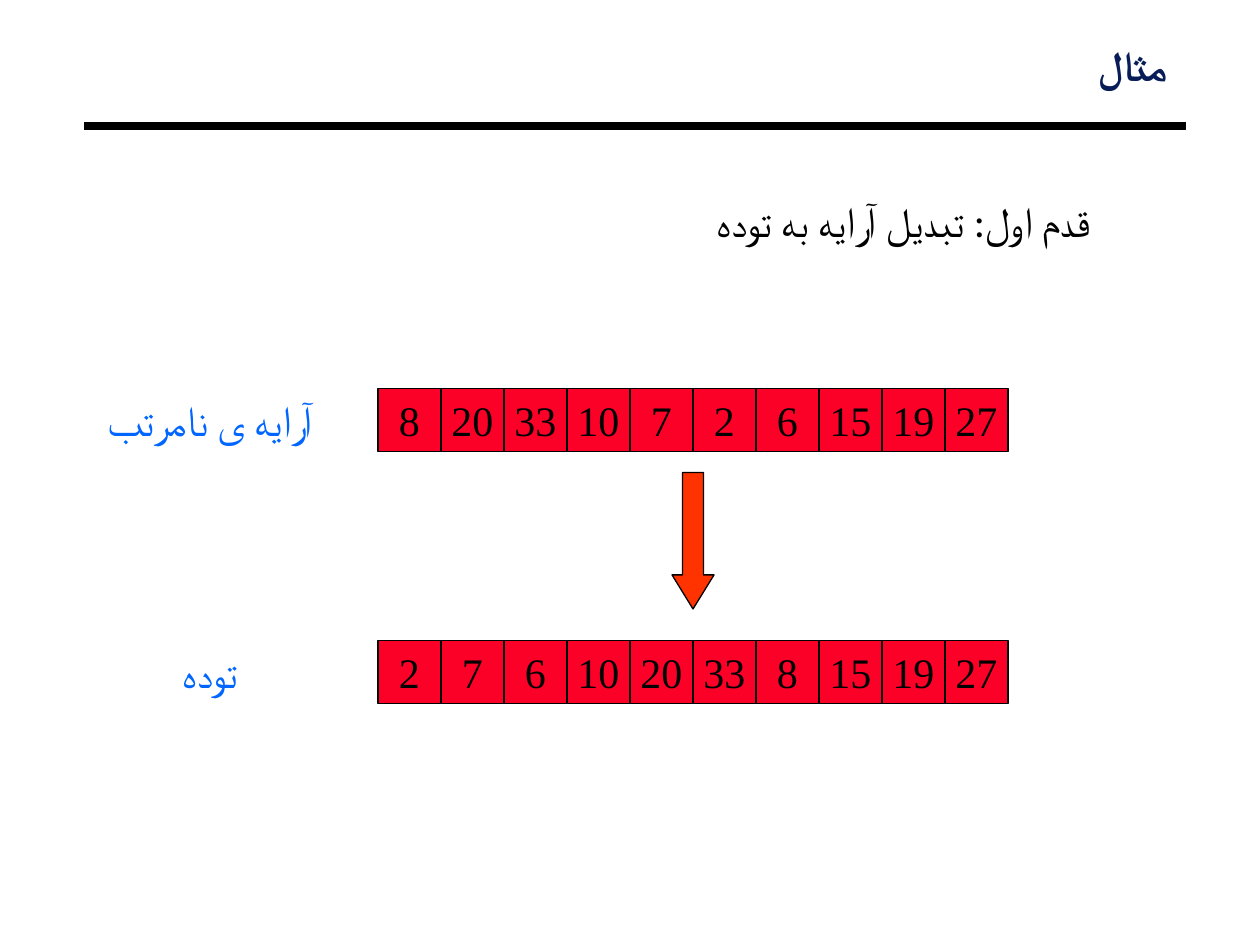
from dataclasses import dataclass

from lxml import etree
from pptx import Presentation
from pptx.dml.color import RGBColor
from pptx.enum import shapes, text
from pptx.oxml.ns import qn
from pptx.util import Pt


@dataclass(frozen=True)
class Theme:
    navy: str = "081D58"
    black: str = "000000"
    blue: str = "0066FF"
    cell: str = "FC0128"
    arrow: str = "FF3300"
    title_font: str = "Roboto"
    body_font: str = "Calibri"
    number_font: str = "Times New Roman"
    size: float = 24
    outline: float = 0.75
    rule: float = 4.5


T = Theme()
ALIGN, SHAPE = text.PP_ALIGN, shapes.MSO_SHAPE


def write(tf, words, font, color, align, rtl=False, bold=False, spacing=None):
    """Put one paragraph in a text frame, naming the font for Arabic script too."""
    p = tf.paragraphs[0]
    p.alignment = align
    if rtl:
        p._p.get_or_add_pPr().set("rtl", "1")
    if spacing:
        p.line_spacing = spacing
    r = p.add_run()
    r.text = words
    for name, value in dict(name=font, size=Pt(T.size), bold=bold).items():
        setattr(r.font, name, value)
    r.font.color.rgb = RGBColor.from_string(color)
    etree.SubElement(r._r.get_or_add_rPr(), qn("a:cs"), typeface=font)


def add_text(s, box, words, font, color, align, inset=(7.2, 3.6), **style):
    tf = s.shapes.add_textbox(*map(Pt, box)).text_frame
    dx, dy = map(Pt, inset)
    frame = dict(word_wrap=True, auto_size=text.MSO_AUTO_SIZE.SHAPE_TO_FIT_TEXT,
                 margin_left=dx, margin_right=dx, margin_top=dy, margin_bottom=dy)
    for name, value in frame.items():
        setattr(tf, name, value)
    write(tf, words, font, color, align, **style)


def add_block(s, kind, box, fill):
    sp = s.shapes.add_shape(kind, *map(Pt, box))
    sp.shadow.inherit = False
    sp.fill.solid()
    sp.fill.fore_color.rgb = RGBColor.from_string(fill)
    sp.line.color.rgb = RGBColor.from_string(T.black)
    sp.line.width = Pt(T.outline)
    return sp


def add_header(s, box, title):
    """Title at the right, with a heavy rule along the bottom of the box."""
    x, y, w, h = box
    rule = s.shapes.add_connector(shapes.MSO_CONNECTOR.STRAIGHT,
                                  Pt(x), Pt(y + h), Pt(x + w), Pt(y + h))
    rule.line.color.rgb = RGBColor.from_string(T.black)
    rule.line.width = Pt(T.rule)
    etree.SubElement(rule._element.spPr, qn("a:effectLst"))
    add_text(s, (x, y, w - 6, 30), title, T.title_font, T.navy, ALIGN.RIGHT,
             inset=(5, 2.2), rtl=True, bold=True, spacing=0.87)


def add_array(s, box, label, values):
    """Label at the left of the box, square cells against its right side."""
    x, y, w, side = box
    start = x + w - side * len(values)
    for i, value in enumerate(values):
        sp = add_block(s, SHAPE.RECTANGLE, (start + i * side, y, side, side), T.cell)
        tf = sp.text_frame
        tf.word_wrap = False
        tf.vertical_anchor = text.MSO_ANCHOR.MIDDLE
        write(tf, str(value), T.number_font, T.black, ALIGN.CENTER)
    add_text(s, (x, y, start - x - 12, side), label, T.body_font, T.blue, ALIGN.CENTER)


def add_down_arrow(s, box):
    sp = add_block(s, SHAPE.DOWN_ARROW, box, T.arrow)
    sp.adjustments[0] = 0.5
    sp.adjustments[1] = 0.81


def main():
    prs = Presentation()
    prs.slide_width, prs.slide_height = Pt(720), Pt(540)
    s = prs.slides.add_slide(prs.slide_layouts[6])
    add_header(s, (48, 24.5, 630, 47.5), "مثال")
    add_array(s, (36, 222, 540, 36), "آرایه ی نامرتب",
              [8, 20, 33, 10, 7, 2, 6, 15, 19, 27])
    add_array(s, (36, 366, 540, 36), "توده",
              [2, 7, 6, 10, 20, 33, 8, 15, 19, 27])
    add_down_arrow(s, (384, 270, 24, 78))
    add_text(s, (366, 108, 264, 65), "قدم اول: تبدیل آرایه به توده",
             T.body_font, T.black, ALIGN.RIGHT, rtl=True)
    prs.save("out.pptx")


if __name__ == "__main__":
    main()
